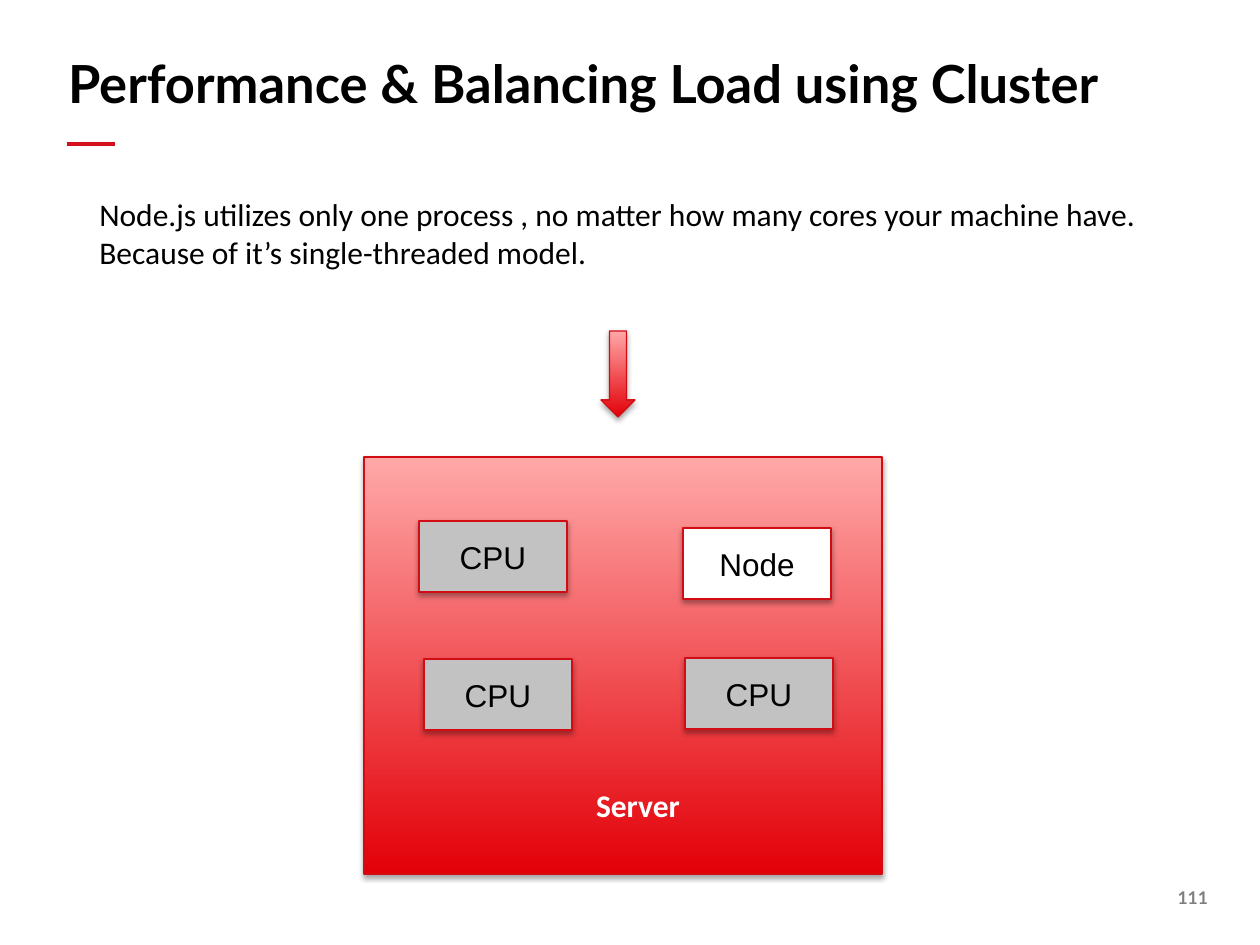
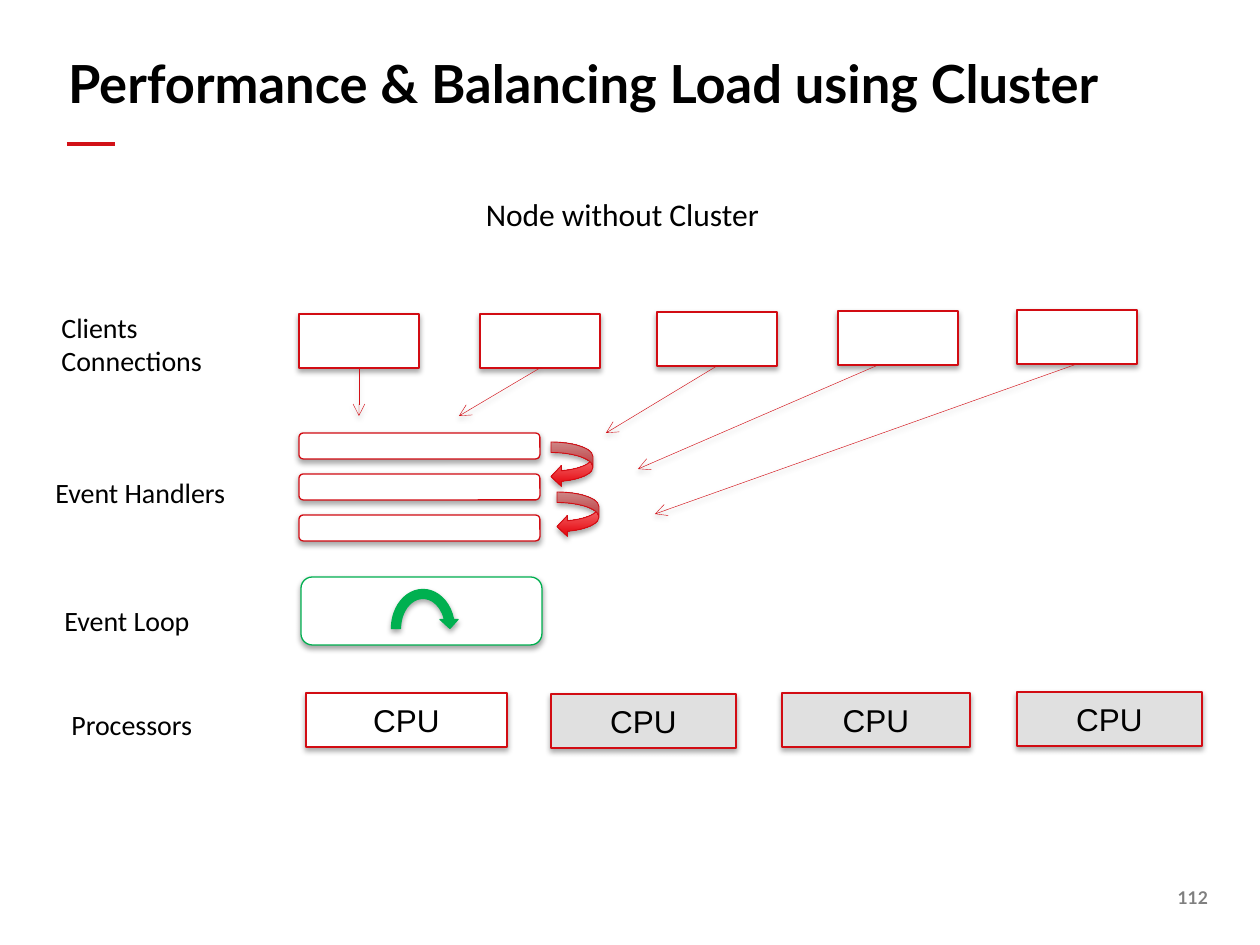
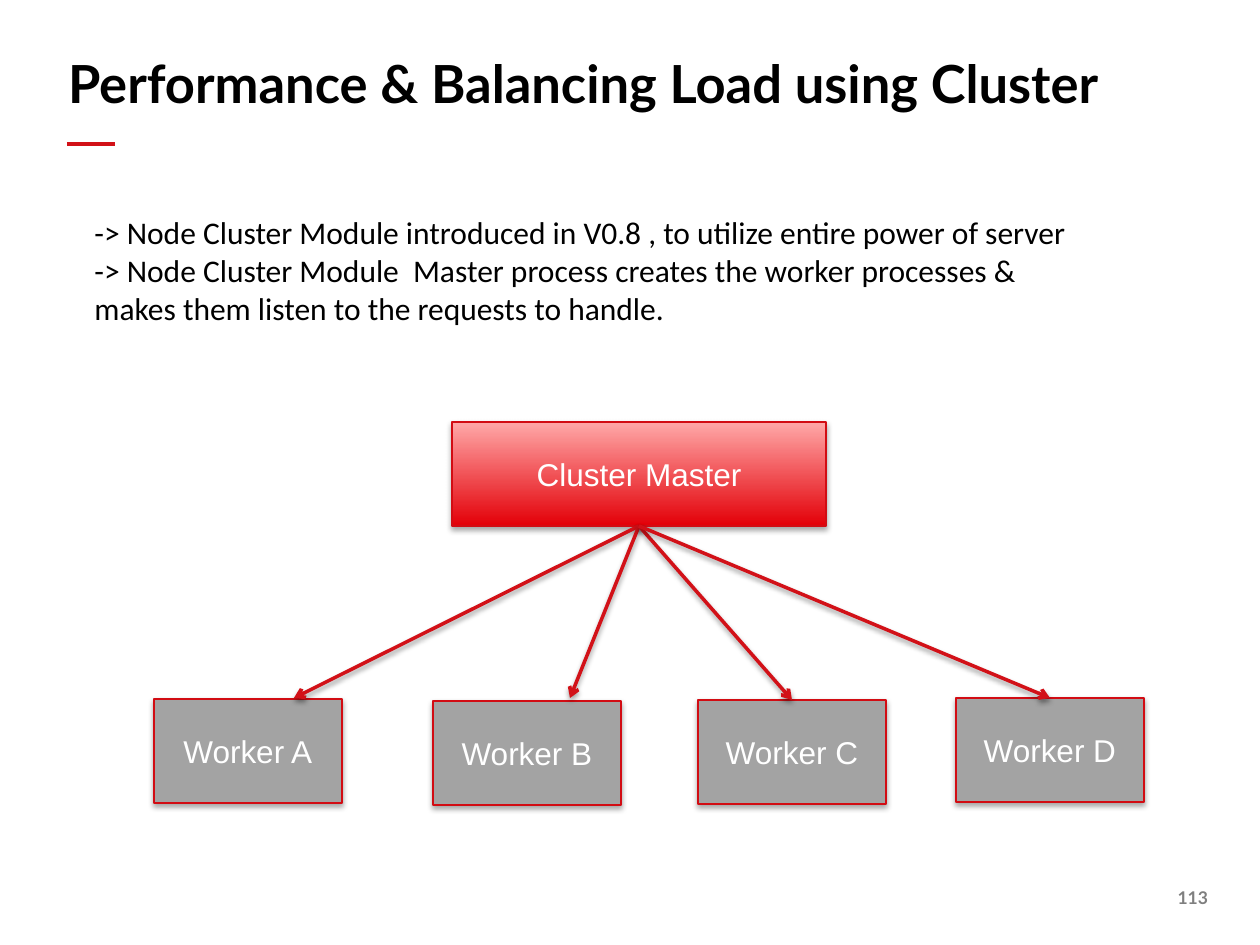
"""Build three slides on sharing load with the Node cluster module."""
import pptx
import pptx.dml.color
import pptx.enum.dml
import pptx.enum.shapes
import pptx.enum.text
import pptx.oxml
import pptx.oxml.ns
import pptx.util

PX = 7257
HUES = {
    "black": "000000", "white": "FFFFFF", "rule": "D21118", "edge": "D20C13",
    "deep": "E30008", "pale": "FFA8A8", "green": "00B050", "mute": "7F7F7F",
    "core": "C2C2C2", "idle": "E0E0E0", "work": "A3A3A3",
}
RGB = {name: pptx.dml.color.RGBColor.from_string(hue) for name, hue in HUES.items()}
FORM = pptx.enum.shapes.MSO_SHAPE
ALIGN = pptx.enum.text.PP_ALIGN
ANCHOR = pptx.enum.text.MSO_ANCHOR
LINE = pptx.enum.shapes.MSO_CONNECTOR.STRAIGHT
SHADE = (
    '<a:outerShdw {} blurRad="40000" dist="{}" dir="5400000" rotWithShape="0">'
    '<a:srgbClr val="000000"><a:alpha val="{}"/></a:srgbClr></a:outerShdw>'
)
NS = pptx.oxml.ns.nsdecls("a")


def write(shape, text, font="Calibri", size=18, color="black", bold=False,
          align=ALIGN.LEFT, anchor=ANCHOR.TOP, inset=None, space=None):
    """Fill a shape with text, one paragraph a line."""
    frame = shape.text_frame
    frame.word_wrap = True
    frame.auto_size = pptx.enum.text.MSO_AUTO_SIZE.NONE
    frame.vertical_anchor = anchor
    if inset is not None:
        frame.margin_left = frame.margin_right = inset
        frame.margin_top = frame.margin_bottom = inset
    frame.text = text
    for para in frame.paragraphs:
        para.alignment = align
        para.line_spacing = space
        para.font.name = font
        para.font.size = pptx.util.Pt(size)
        para.font.bold = bold
        para.font.color.rgb = RGB[color]


def draw(slide, form, box, fill, text="", ink="black", edge="edge", width=0.75):
    """Add a shadowed shape; the fill "fade" runs from pale to deep red."""
    shape = slide.shapes.add_shape(form, *(n * PX for n in box))
    if fill == "fade":
        shape.fill.gradient()
        shape.fill.gradient_angle = 90
        for stop, hue in zip(shape.fill.gradient_stops, ("deep", "pale")):
            stop.color.rgb = RGB[hue]
    else:
        shape.fill.solid()
        shape.fill.fore_color.rgb = RGB[fill]
    shape.line.color.rgb = RGB[edge]
    shape.line.width = pptx.util.Pt(width)
    shape.shadow.inherit = False
    glow = shape.element.spPr.find(pptx.oxml.ns.qn("a:effectLst"))
    glow.append(pptx.oxml.parse_xml(SHADE.format(NS, 23000, 35000)))
    if text:
        write(shape, text, font="Arial", color=ink, align=ALIGN.CENTER, anchor=ANCHOR.MIDDLE)
    return shape


deck = pptx.Presentation()
deck.slide_width, deck.slide_height = 1260 * PX, 945 * PX

pages = []
for number in (111, 112, 113):
    slide = deck.slides.add_slide(deck.slide_layouts[5])
    pages.append(slide)
    title = slide.shapes.title
    title.left, title.top, title.width, title.height = (n * PX for n in (68, 57, 1125, 58))
    write(title, "Performance & Balancing Load using Cluster", font="Lato", size=30,
          bold=True, anchor=ANCHOR.BOTTOM, inset=0, space=0.9)
    rule = slide.shapes.add_connector(LINE, *(n * PX for n in (67, 144, 115, 144)))
    rule.line.color.rgb = RGB["rule"]
    rule.line.width = pptx.util.Pt(2.75)
    rule.element.spPr.append(pptx.oxml.parse_xml(f"<a:effectLst {NS}/>"))
    foot = slide.shapes.add_textbox(*(n * PX for n in (1165, 887, 43, 21)))
    write(foot, str(number), font="Lato", size=10, color="mute", bold=True,
          align=ALIGN.RIGHT, inset=0, space=1.01)

single, plain, cluster = pages

draw(single, FORM.RECTANGLE, (364, 457, 518, 417), "fade")
draw(single, FORM.DOWN_ARROW, (601, 331, 34, 86), "fade")
for left, top, fill, name in (
    (683, 528, "white", "Node"), (685, 658, "core", "CPU"),
    (424, 659, "core", "CPU"), (419, 521, "core", "CPU"),
):
    draw(single, FORM.RECTANGLE, (left, top, 148, 71), fill, name)

clients = [
    draw(plain, FORM.RECTANGLE, (left, top, 120, 54), "white")
    for left, top in ((299, 314), (480, 314), (657, 312), (838, 311), (1017, 310))
]
for row in range(3):
    draw(plain, FORM.FLOWCHART_ALTERNATE_PROCESS, (299, 433 + 41 * row, 241, 26), "white")
for left, top in ((551, 442), (557, 492)):
    draw(plain, FORM.CURVED_LEFT_ARROW, (left, top, 42, 45), "fade", width=0.5)
draw(plain, FORM.FLOWCHART_ALTERNATE_PROCESS, (301, 577, 241, 68), "white", edge="green")
draw(plain, FORM.CIRCULAR_ARROW, (387, 585, 72, 87), "green", edge="green")
for left, top, wide, fill in (
    (306, 693, 201, "white"), (551, 694, 185, "idle"),
    (782, 693, 188, "idle"), (1017, 692, 185, "idle"),
):
    draw(plain, FORM.RECTANGLE, (left, top, wide, 54), fill, "CPU")

master = draw(cluster, FORM.RECTANGLE, (452, 422, 374, 104), "fade", "Cluster Master", "white")
workers = [
    draw(cluster, FORM.RECTANGLE, (left, top, 188, 104), "work", f"Worker {name}", "white")
    for name, left, top in (("A", 154, 699), ("B", 433, 701), ("C", 698, 700), ("D", 956, 698))
]

for slide, source, target, ends, width in (
    (plain, clients[0], None, (359, 368, 359, 416), 0.25),
    (plain, clients[1], None, (540, 368, 459, 416), 0.25),
    (plain, clients[2], None, (717, 366, 606, 433), 0.25),
    (plain, None, None, (876, 366, 638, 469), 0.25),
    (plain, clients[4], None, (1077, 364, 655, 514), 0.25),
    (cluster, master, None, (639, 526, 294, 698), 2),
    (cluster, master, None, (639, 526, 570, 698), 2),
    (cluster, master, workers[2], (639, 526, 792, 700), 2),
    (cluster, master, workers[3], (639, 526, 1050, 698), 2),
):
    link = slide.shapes.add_connector(LINE, *(n * PX for n in ends))
    if source:
        link.begin_connect(source, 2)
    if target:
        link.end_connect(target, 0)
    link.line.color.rgb = RGB["rule"]
    link.line.width = pptx.util.Pt(width)
    props = link.element.spPr
    props.find(pptx.oxml.ns.qn("a:ln")).append(
        pptx.oxml.parse_xml(f'<a:tailEnd {NS} type="arrow"/>'))
    glow = SHADE.format(NS, 20000, 38000)
    props.append(pptx.oxml.parse_xml(f"<a:effectLst {NS}>{glow}</a:effectLst>"))

for slide, box, text, style in (
    (single, (557, 780, 162, 50), "Server",
     {"color": "white", "bold": True, "align": ALIGN.CENTER}),
    (single, (87, 189, 1071, 89),
     "Node.js utilizes only one process , no matter how many cores your machine have. "
     "Because of it’s single-threaded model.", {}),
    (plain, (87, 189, 1071, 50), "Node without Cluster", {"align": ALIGN.CENTER}),
    (plain, (49, 304, 223, 81), "Clients Connections", {"size": 16}),
    (plain, (43, 469, 223, 47), "Event Handlers", {"size": 16}),
    (plain, (52, 597, 223, 47), "Event Loop", {"size": 16}),
    (plain, (59, 701, 223, 47), "Processors", {"size": 16}),
    (cluster, (82, 207, 1028, 165),
     "-> Node Cluster Module introduced in V0.8 , to utilize entire power of server\n"
     "-> Node Cluster Module  Master process creates the worker processes & "
     "makes them listen to the requests to handle.", {}),
):
    write(slide.shapes.add_textbox(*(n * PX for n in box)), text, **style)

deck.save("out.pptx")
